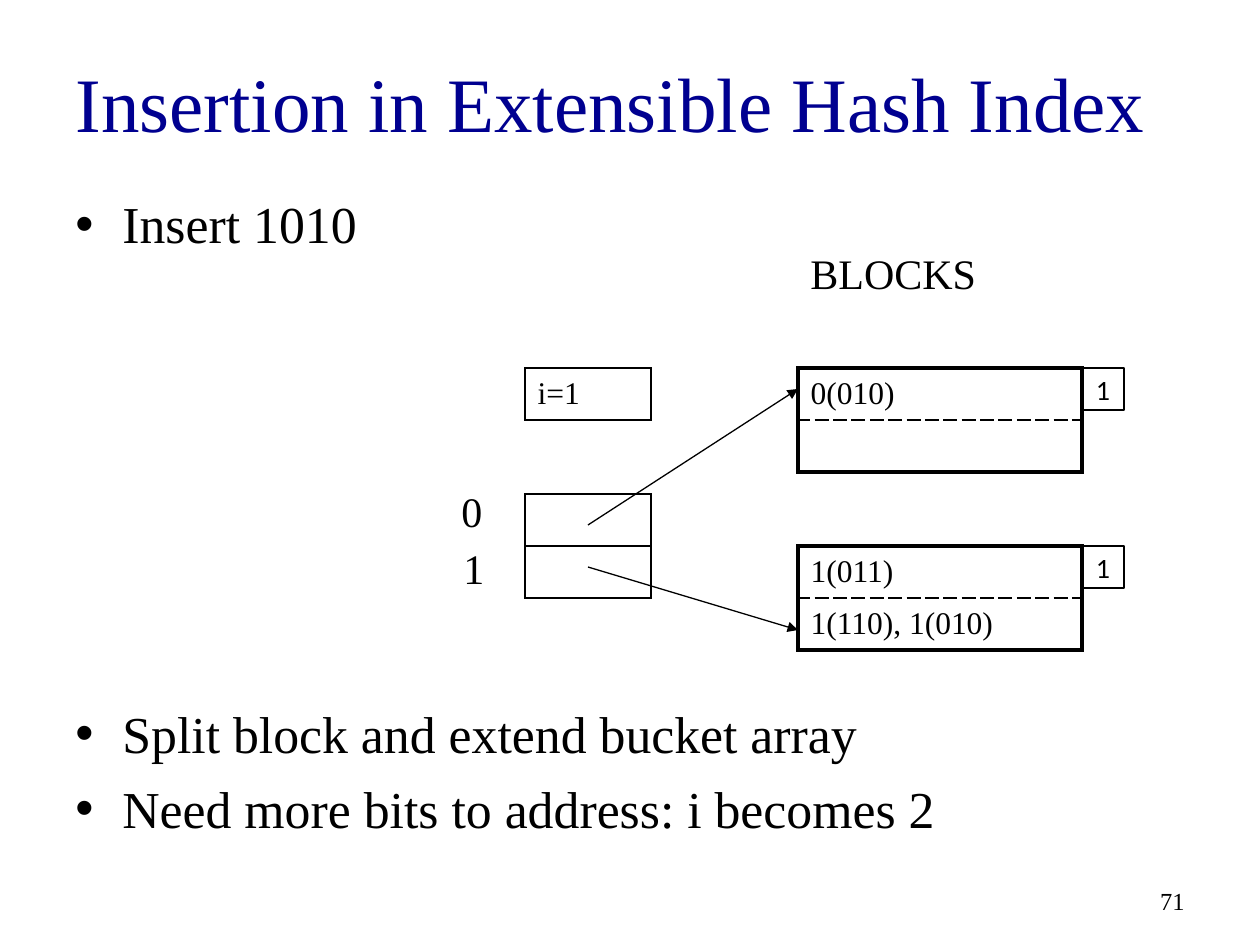
from dataclasses import dataclass

from lxml.etree import SubElement
from pptx import Presentation
from pptx.dml.color import RGBColor
from pptx.enum.shapes import MSO_CONNECTOR, MSO_SHAPE
from pptx.enum.text import MSO_ANCHOR as Anchor, MSO_AUTO_SIZE as AutoSize, PP_ALIGN as Align
from pptx.oxml import parse_xml
from pptx.oxml.ns import nsdecls, qn
from pptx.util import Emu, Pt

SERIF, SANS = "Times New Roman", "Calibri"
BLACK, NAVY = "000000", "000090"
ROW_H = 52


@dataclass
class Grid:
    x: int
    y: int
    w: int
    rows: list[str]
    border: float = 1
    divider: str = "solid"


@dataclass
class Label:
    text: str
    x: int
    y: int
    w: int
    h: int
    size: float = 24
    align: Align = Align.LEFT
    anchor: Anchor = Anchor.TOP


@dataclass
class Arrow:
    x1: int
    y1: int
    x2: int
    y2: int


GRIDS = [
    Grid(798, 368, 284, ["0(010)", ""], 2.25, "lgDash"),
    Grid(798, 546, 284, ["1(011)", "1(110), 1(010)"], 2.25, "lgDash"),
    Grid(525, 494, 126, ["", ""]),
    Grid(525, 368, 126, ["i=1"]),
]
ARROWS = [Arrow(588, 525, 798, 389), Arrow(588, 567, 798, 630)]
DEPTHS = [Label("1", 1082, y, 42, 42, 16, Align.CENTER, Anchor.MIDDLE) for y in (368, 546)]
LABELS = [
    Label("0", 449, 479, 47, 63),
    Label("1", 451, 536, 47, 63),
    Label("BLOCKS", 798, 241, 193, 63),
    Label("71", 903, 876, 294, 50, 14, Align.RIGHT, Anchor.MIDDLE),
]
BULLETS = [
    ("Insert 1010", 0),
    ("Split block and extend bucket array", 255.5),
    ("Need more bits to address: i becomes 2", 7.5),
]


def px(n: int) -> Emu:
    """Convert pixels to EMU."""
    return Emu(round(n * 914400 / 126))


def rgb(value: str) -> RGBColor:
    """Turn a hex string into a colour."""
    return RGBColor.from_string(value)


def style(p, size: float, color: str = BLACK, font: str = SERIF, align: Align = Align.LEFT) -> None:
    """Format a paragraph and its runs."""
    p.alignment = align
    for r in p.runs:
        r.font.size, r.font.name = Pt(size), font
        r.font.color.rgb = rgb(color)


def set_borders(cell, widths: dict[str, tuple[float, str]]) -> None:
    """Draw the four borders of a table cell."""
    tcPr = cell._tc.get_or_add_tcPr()
    for i, side in enumerate("LRTB"):
        width, dash = widths[side]
        tcPr.insert(i, parse_xml(
            f'<a:ln{side} {nsdecls("a")} w="{Pt(width)}"><a:solidFill><a:srgbClr val="{BLACK}"/>'
            f'</a:solidFill><a:prstDash val="{dash}"/></a:ln{side}>'))


def add_grid(s, grid: Grid) -> None:
    """Add a one-column table."""
    n = len(grid.rows)
    table = s.shapes.add_table(n, 1, px(grid.x), px(grid.y), px(grid.w), px(ROW_H * n)).table
    table.first_row = table.horz_banding = False
    outer, inner = (grid.border, "solid"), (1, grid.divider)
    for i, text in enumerate(grid.rows):
        cell = table.cell(i, 0)
        cell.text_frame.text = text
        cell.vertical_anchor = Anchor.MIDDLE
        style(cell.text_frame.paragraphs[0], 18)
        cell.fill.background()
        set_borders(cell, {"L": outer, "R": outer, "T": inner if i else outer,
                           "B": inner if i < n - 1 else outer})


def add_arrow(s, arrow: Arrow) -> None:
    """Add a thin arrow from a bucket to a block."""
    c = s.shapes.add_connector(MSO_CONNECTOR.STRAIGHT, px(arrow.x1), px(arrow.y1),
                               px(arrow.x2), px(arrow.y2))
    c.line.width = Pt(0.75)
    c.line.color.rgb = rgb(BLACK)
    SubElement(c.line._get_or_add_ln(), qn("a:tailEnd"), type="triangle")
    SubElement(c._element.spPr, qn("a:effectLst"))


def fill_label(sp, label: Label, font: str) -> None:
    """Write a label into a shape."""
    tf = sp.text_frame
    tf.text = label.text
    tf.word_wrap = label.align == Align.RIGHT
    tf.vertical_anchor = label.anchor
    style(tf.paragraphs[0], label.size, font=font, align=label.align)


def add_depth(s, label: Label) -> None:
    """Add the small square that shows a block's depth."""
    sp = s.shapes.add_shape(MSO_SHAPE.RECTANGLE, px(label.x), px(label.y), px(label.w), px(label.h))
    sp.shadow.inherit = False
    sp.fill.background()
    sp.line.width = Pt(0.75)
    sp.line.color.rgb = rgb(BLACK)
    fill_label(sp, label, SANS)


def add_label(s, label: Label) -> None:
    """Add a free-standing label."""
    sp = s.shapes.add_textbox(px(label.x), px(label.y), px(label.w), px(label.h))
    fill_label(sp, label, SERIF)


def add_title(s, text: str) -> None:
    """Place and format the title."""
    sp = s.shapes.title
    sp.left, sp.top, sp.width, sp.height = px(63), px(23), px(1134), px(158)
    tf = sp.text_frame
    tf.text = text
    tf.auto_size = AutoSize.NONE
    tf.vertical_anchor = Anchor.MIDDLE
    style(tf.paragraphs[0], 44, NAVY)


def add_bullets(s, bullets: list[tuple[str, float]]) -> None:
    """Add the bulleted text, leaving room for the diagram."""
    tf = s.shapes.add_textbox(px(63), px(186), px(1134), px(658)).text_frame
    tf.word_wrap = True
    tf.text = "\n".join(text for text, _ in bullets)
    for p, (_, gap) in zip(tf.paragraphs, bullets):
        pPr = p._p.get_or_add_pPr()
        pPr.set("marL", str(px(47)))
        pPr.set("indent", str(-px(47)))
        SubElement(pPr, qn("a:buFont"), typeface="Arial")
        SubElement(pPr, qn("a:buChar"), char="•")
        p.space_before = Pt(gap)
        style(p, 29.6)


def main() -> None:
    """Build the slide."""
    prs = Presentation()
    prs.slide_width, prs.slide_height = px(1260), px(945)
    s = prs.slides.add_slide(prs.slide_layouts[5])
    add_title(s, "Insertion in Extensible Hash Index")
    add_bullets(s, BULLETS)
    for draw, items in ((add_grid, GRIDS), (add_arrow, ARROWS),
                        (add_depth, DEPTHS), (add_label, LABELS)):
        for item in items:
            draw(s, item)
    prs.save("out.pptx")


if __name__ == "__main__":
    main()
